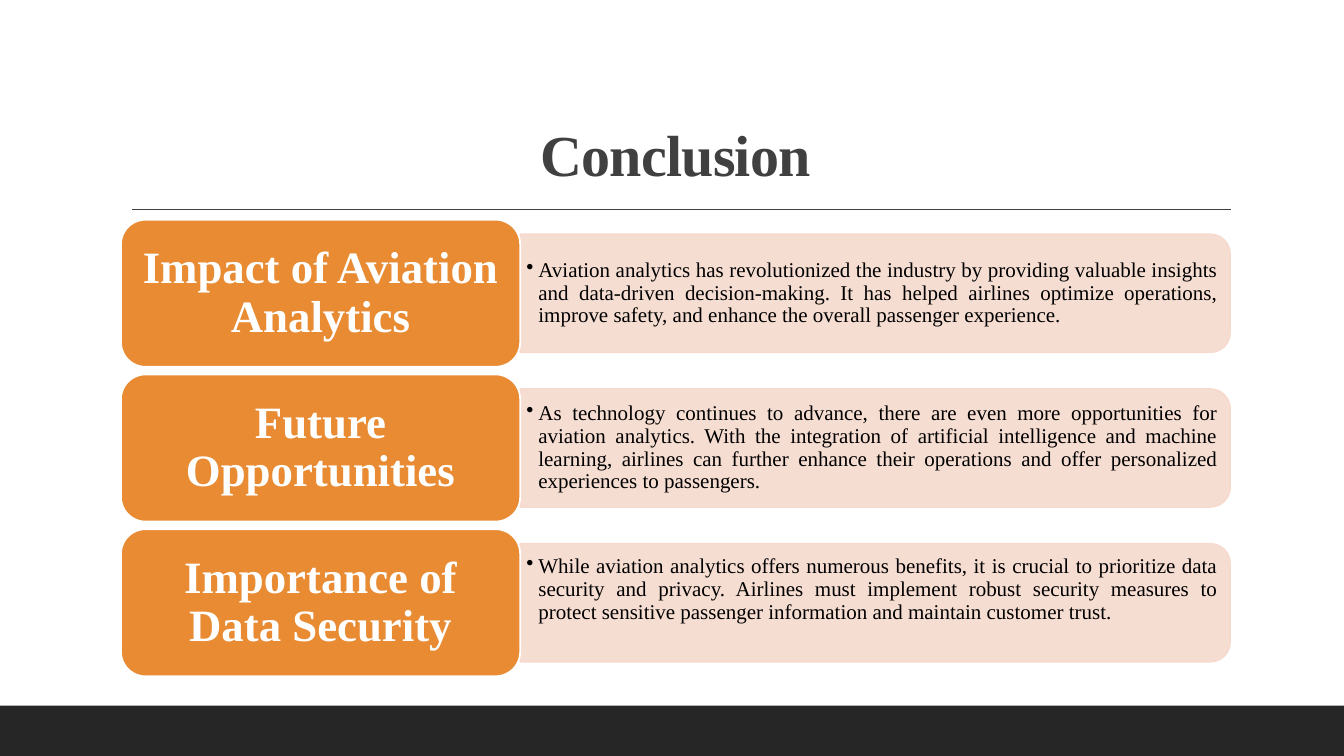
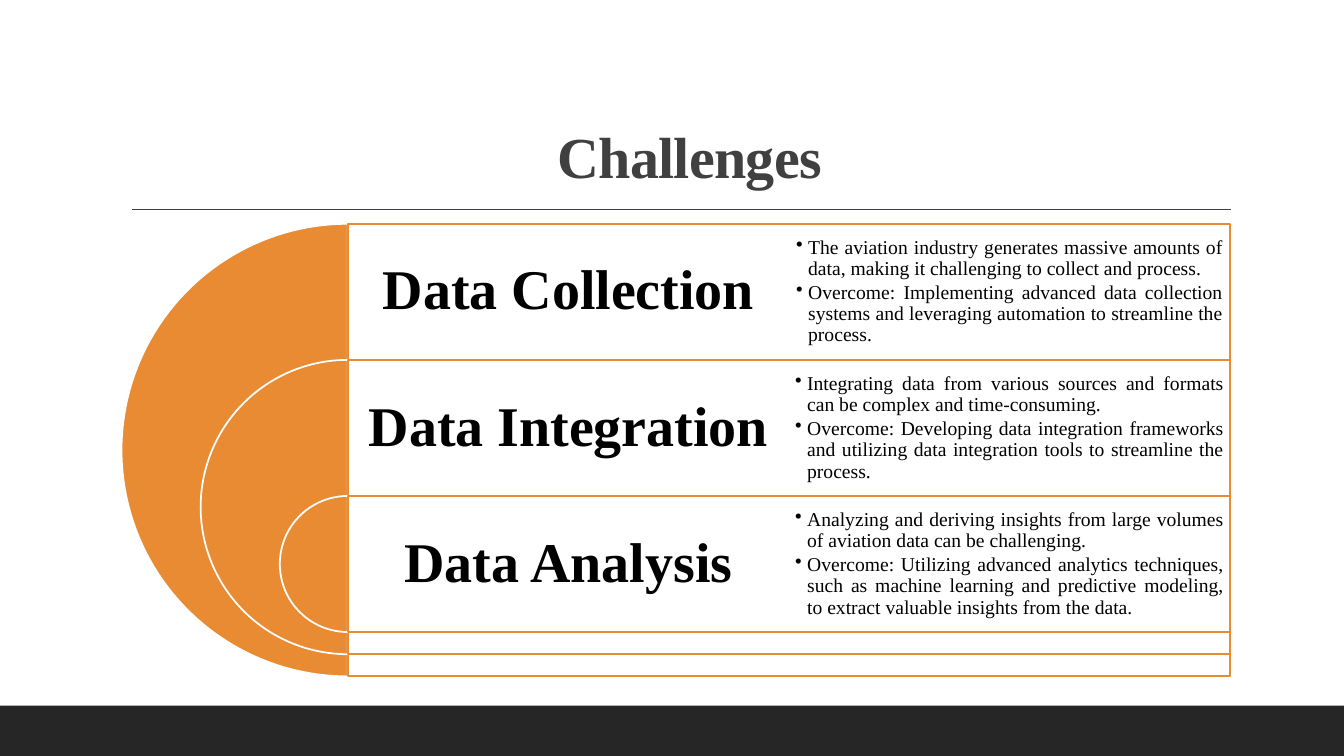
import pptx
import pptx.util
import pptx.dml.color
import pptx.enum.shapes
import pptx.enum.text
import pptx.oxml.ns
from lxml import etree

Inches, Pt = pptx.util.Inches, pptx.util.Pt
RGBColor = pptx.dml.color.RGBColor
SHAPE = pptx.enum.shapes.MSO_SHAPE
ALIGN = pptx.enum.text.PP_ALIGN
ANCHOR = pptx.enum.text.MSO_ANCHOR
qn = pptx.oxml.ns.qn

WHITE = RGBColor(0xFF, 0xFF, 0xFF)
BLACK = RGBColor(0x00, 0x00, 0x00)
BAND = RGBColor(0x26, 0x26, 0x26)
TITLE = RGBColor(0x40, 0x40, 0x40)
ORANGE = RGBColor(0xE8, 0x8B, 0x33)
PEACH = RGBColor(0xF6, 0xDA, 0xCE)
FONT = "Times New Roman"


def add_box(slide, kind, left, top, width, height, fill, line, opacity=100):
    box = slide.shapes.add_shape(kind, Inches(left), Inches(top), Inches(width), Inches(height))
    box.shadow.inherit = False
    box.fill.solid()
    box.fill.fore_color.rgb = fill
    if line is None:
        box.line.fill.background()
    else:
        box.line.color.rgb = line
        box.line.width = Pt(1.25)
    if opacity < 100:
        color = box.fill._xPr.find(qn("a:solidFill"))[0]
        etree.SubElement(color, qn("a:alpha"), val=str(opacity * 1000))
    return box


def write(frame, texts, size, color, insets, bold=False, bullets=False):
    frame.word_wrap = True
    frame.vertical_anchor = ANCHOR.MIDDLE
    frame.margin_left = frame.margin_right = Inches(insets[0])
    frame.margin_top = frame.margin_bottom = Inches(insets[1])
    for index, text in enumerate(texts):
        paragraph = frame.paragraphs[0] if index == 0 else frame.add_paragraph()
        paragraph.text = text
        paragraph.alignment = ALIGN.JUSTIFY if bullets else ALIGN.CENTER
        paragraph.line_spacing = 0.9
        if bullets:
            paragraph.space_after = Pt(2)
            properties = paragraph._p.get_or_add_pPr()
            properties.set("marL", str(Inches(0.12)))
            properties.set("indent", str(Inches(-0.12)))
            etree.SubElement(properties, qn("a:buChar"), char="•")
        paragraph.font.name = FONT
        paragraph.font.size = Pt(size)
        paragraph.font.bold = bold
        paragraph.font.color.rgb = color


deck = pptx.Presentation()
deck.slide_width, deck.slide_height = Inches(13.33), Inches(7.5)

# Shared frame: band, rule and title
slides = []
for heading, left, top, height in [("Conclusion", 1.2, 1.19, 0.73),
                                   ("Challenges", 1.34, 1.36, 0.58)]:
    slide = deck.slides.add_slide(deck.slide_layouts[6])
    add_box(slide, SHAPE.RECTANGLE, 0, 7, 13.33, 0.5, BAND, None)
    rule = slide.shapes.add_connector(pptx.enum.shapes.MSO_CONNECTOR.STRAIGHT,
                                      Inches(1.31), Inches(2.08), Inches(12.21), Inches(2.08))
    rule.line.color.rgb = TITLE
    rule.line.width = Pt(1)
    etree.SubElement(rule._element.spPr, qn("a:effectLst"))
    title = slide.shapes.add_textbox(Inches(left), Inches(top), Inches(11), Inches(height))
    write(title.text_frame, [heading], 41.4, TITLE, (0.1, 0.05), bold=True)
    title.text_frame.vertical_anchor = ANCHOR.BOTTOM
    title.text_frame.paragraphs[0].runs[0].font._element.set("spc", "-50")
    slides.append(slide)
conclusion, challenges = slides

# Conclusion: orange cards with a peach panel behind each
CARD_LEFT, CARD_WIDTH, CARD_HEIGHT = 1.2, 3.96, 1.46
CARDS_TOP, CARDS_BOTTOM = 2.18, 6.71
PANEL_WIDTH, PANEL_HEIGHT = 7.04, 1.17
panel_left = CARD_LEFT + CARD_WIDTH
conclusions = [
    ("Impact of Aviation Analytics",
     "Aviation analytics has revolutionized the industry by providing valuable insights and "
     "data-driven decision-making. It has helped airlines optimize operations, improve safety, "
     "and enhance the overall passenger experience.", 1.06),
    ("Future Opportunities",
     "As technology continues to advance, there are even more opportunities for aviation "
     "analytics. With the integration of artificial intelligence and machine learning, airlines "
     "can further enhance their operations and offer personalized experiences to passengers.", 1.06),
    ("Importance of Data Security",
     "While aviation analytics offers numerous benefits, it is crucial to prioritize data "
     "security and privacy. Airlines must implement robust security measures to protect "
     "sensitive passenger information and maintain customer trust.", 0.8),
]
card_pitch = (CARDS_BOTTOM - CARDS_TOP - CARD_HEIGHT) / (len(conclusions) - 1)
for row, (topic, detail, detail_height) in enumerate(conclusions):
    top = CARDS_TOP + row * card_pitch
    middle = top + CARD_HEIGHT / 2
    # The panel stands upright and is turned so its round corners face right
    panel = add_box(conclusion, SHAPE.ROUND_2_SAME_RECTANGLE,
                    panel_left + (PANEL_WIDTH - PANEL_HEIGHT) / 2, middle - PANEL_WIDTH / 2,
                    PANEL_HEIGHT, PANEL_WIDTH, PEACH, PEACH, opacity=90)
    panel.rotation = 90
    note = conclusion.shapes.add_textbox(Inches(panel_left), Inches(middle - 0.53),
                                         Inches(6.98), Inches(detail_height))
    write(note.text_frame, [detail], 15, BLACK, (0.06, 0.03), bullets=True)
    card = add_box(conclusion, SHAPE.ROUNDED_RECTANGLE, CARD_LEFT, top,
                   CARD_WIDTH, CARD_HEIGHT, ORANGE, WHITE)
    write(card.text_frame, [topic], 32, WHITE, (0.13, 0.07), bold=True)

# Challenges: nested half circles, each opening into a framed row
ROWS_TOP, ROW_HEIGHT = 2.22, 1.35
AXIS, FRAME_WIDTH = 3.45, 8.75
OUTER_DIAMETER, DIAMETER_STEP = 4.49, 1.57
column_width = FRAME_WIDTH / 2
obstacles = [
    ("Data Collection", 0.07,
     ["The aviation industry generates massive amounts of data, making it challenging to "
      "collect and process.",
      "Overcome: Implementing advanced data collection systems and leveraging automation to "
      "streamline the process."]),
    ("Data Integration", 0.06,
     ["Integrating data from various sources and formats can be complex and time-consuming.",
      "Overcome: Developing data integration frameworks and utilizing data integration tools "
      "to streamline the process."]),
    ("Data Analysis", 0.06,
     ["Analyzing and deriving insights from large volumes of aviation data can be challenging.",
      "Overcome: Utilizing advanced analytics techniques, such as machine learning and "
      "predictive modeling, to extract valuable insights from the data."]),
]
for row, (topic, inset, details) in enumerate(obstacles):
    top = ROWS_TOP + row * ROW_HEIGHT
    diameter = OUTER_DIAMETER - row * DIAMETER_STEP
    half_circle = add_box(challenges, SHAPE.PIE, AXIS - diameter / 2, top,
                          diameter, diameter, ORANGE, WHITE)
    half_circle.adjustments[0] = 54
    half_circle.adjustments[1] = 162
    add_box(challenges, SHAPE.RECTANGLE, AXIS, top, FRAME_WIDTH, diameter,
            WHITE, ORANGE, opacity=90)
    label = challenges.shapes.add_textbox(Inches(AXIS), Inches(top),
                                          Inches(column_width), Inches(ROW_HEIGHT))
    write(label.text_frame, [topic], 40, BLACK, (0.17, 0.17), bold=True)
    note = challenges.shapes.add_textbox(Inches(AXIS + column_width), Inches(top),
                                         Inches(column_width), Inches(ROW_HEIGHT))
    write(note.text_frame, details, 14, BLACK, (inset, inset), bullets=True)

deck.save("out.pptx")
